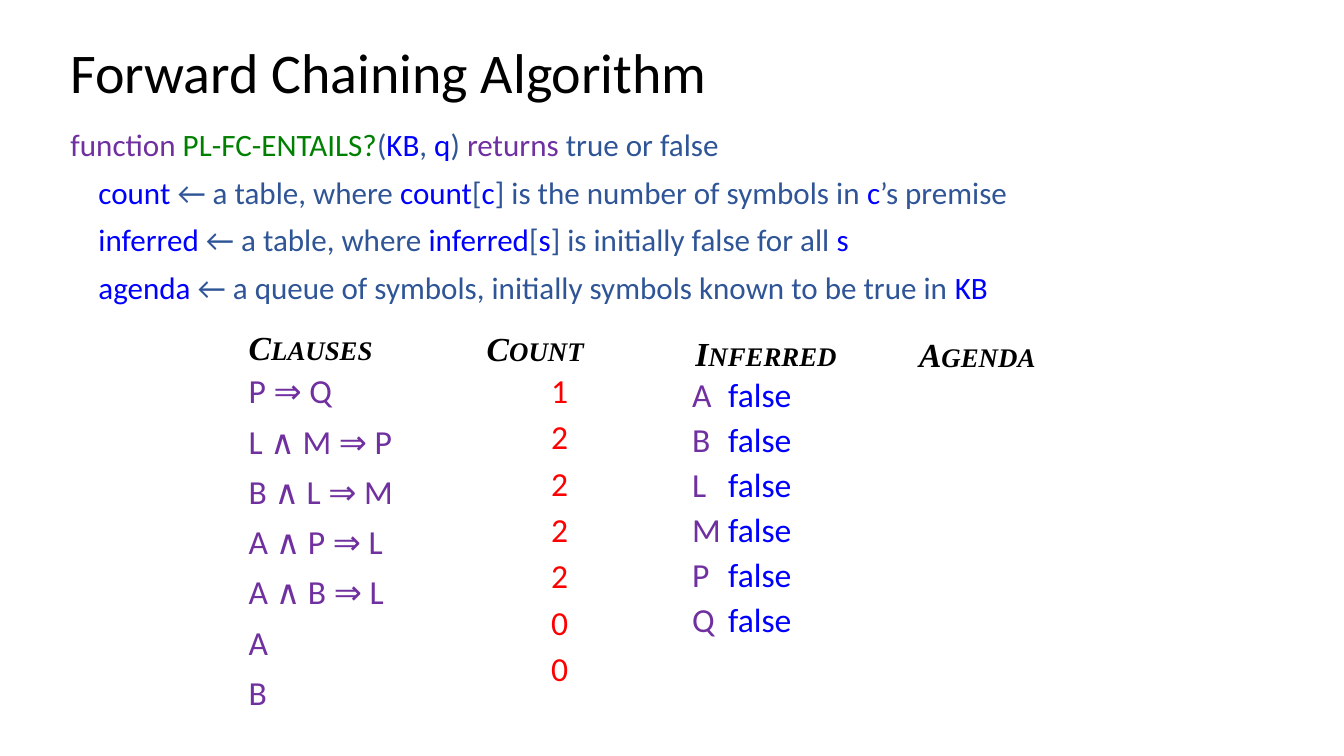
import pptx
import pptx.dml.color
import pptx.enum.shapes
import pptx.enum.text
import pptx.oxml
import pptx.util

Pt = pptx.util.Pt
RGBColor = pptx.dml.color.RGBColor
MSO_ANCHOR = pptx.enum.text.MSO_ANCHOR

BLACK = RGBColor(0, 0, 0)
WHITE = RGBColor(255, 255, 255)
PURPLE = RGBColor(0x70, 0x30, 0xA0)
GREEN = RGBColor(0, 0x80, 0)
NAVY = RGBColor(0x2F, 0x55, 0x97)
BLUE = RGBColor(0, 0, 255)
RED = RGBColor(255, 0, 0)

PSEUDOCODE = [
    [("function ", PURPLE), ("PL-FC-ENTAILS?", GREEN), ("(", NAVY),
     ("KB", BLUE), (", ", NAVY), ("q", BLUE), (") ", NAVY),
     ("returns ", PURPLE), ("true or false", NAVY)],
    [("count", BLUE), (" ← a table, where ", NAVY), ("count", BLUE),
     ("[", NAVY), ("c", BLUE), ("] is the number of symbols in ", NAVY),
     ("c", BLUE), ("’s premise", NAVY)],
    [("inferred", BLUE), (" ← a table, where ", NAVY), ("inferred", BLUE),
     ("[", NAVY), ("s", BLUE), ("] is initially false for all ", NAVY),
     ("s", BLUE)],
    [("agenda", BLUE),
     (" ← a queue of symbols, initially symbols known to be true in ", NAVY),
     ("KB", BLUE)],
]
CLAUSES = ["P ⇒ Q", "L ∧ M ⇒ P", "B ∧ L ⇒ M", "A ∧ P ⇒ L", "A ∧ B ⇒ L", "A", "B"]
HEADINGS = [
    ("Clauses", 170.6, 229.7, 112),
    ("Agenda", 649.4, 234.7, 107),
    ("Count", 340.6, 230.4, 92),
    ("Inferred", 489.6, 234, 125),
]


def add_run(p, text, *, color=BLACK, size=24, font="Calibri", heading=False):
    """Append a formatted run to a paragraph."""
    r = p.add_run()
    r.text = text
    r.font.name = font
    r.font.size = Pt(size)
    r.font.color.rgb = color
    if heading:
        r.font.bold = r.font.italic = True
        r._r.get_or_add_rPr().set("cap", "small")


class SlideBuilder:
    """Hold the current slide and its text style."""

    def __init__(self, s):
        """Keep the slide to draw on."""
        self.s = s

    def fill_text(self, sp, lines, *, spacing=1.0, before=0, indent=0, tab=0,
                  anchor=MSO_ANCHOR.TOP, **fmt):
        """Write lines of coloured runs into a shape."""
        tf = sp.text_frame
        tf.word_wrap = True
        tf.vertical_anchor = anchor
        for i, line in enumerate(lines):
            p = tf.paragraphs[0] if i == 0 else tf.add_paragraph()
            p.alignment = pptx.enum.text.PP_ALIGN.LEFT
            p.line_spacing = spacing
            p.space_before = Pt(before if i else 0)
            pPr = p._p.get_or_add_pPr()
            if indent and i:
                pPr.set("marL", str(Pt(indent)))
            if tab:
                pPr.append(pptx.oxml.parse_xml(
                    '<a:tabLst xmlns:a="http://schemas.openxmlformats.org/drawingml/2006/main">'
                    f'<a:tab pos="{Pt(tab)}" algn="l"/></a:tabLst>'))
            for text, color in line:
                add_run(p, text, color=color, **fmt)

    def text_box(self, box, lines, **fmt):
        """Add a plain text box."""
        self.fill_text(self.s.shapes.add_textbox(*map(Pt, box)), lines, **fmt)

    def panel(self, box, lines, **fmt):
        """Add a white rectangle with text."""
        sp = self.s.shapes.add_shape(
            pptx.enum.shapes.MSO_SHAPE.RECTANGLE, *map(Pt, box))
        sp.shadow.inherit = False
        sp.fill.solid()
        sp.fill.fore_color.rgb = WHITE
        sp.line.fill.background()
        self.fill_text(sp, lines, **fmt)


def main():
    """Build and save the slide."""
    prs = pptx.Presentation()
    prs.slide_width, prs.slide_height = Pt(960), Pt(540)
    slide = SlideBuilder(prs.slides.add_slide(prs.slide_layouts[6]))

    slide.text_box((43.2, 28.8, 828, 49.7),
                   [[("Forward Chaining Algorithm", BLACK)]],
                   size=40, spacing=0.9, anchor=MSO_ANCHOR.MIDDLE)
    slide.text_box((43.2, 78.5, 819.4, 152), PSEUDOCODE,
                   size=22.2, spacing=1.28, indent=20)
    slide.text_box((170.6, 264.2, 192, 260), [[(c, PURPLE)] for c in CLAUSES],
                   spacing=0.9, before=10)
    slide.panel((386.6, 260.6, 48, 240), [[(n, RED)] for n in "1222200"],
                before=4.3)
    slide.panel((487.4, 263.5, 131.8, 226),
                [[(symbol, PURPLE), ("\tfalse", BLUE)] for symbol in "ABLMPQ"],
                before=3.3, tab=25.7)
    for name, left, top, width in HEADINGS:
        slide.text_box((left, top, width, 36), [[(name, BLACK)]],
                       font="Times New Roman", heading=True)
    prs.save("out.pptx")


if __name__ == "__main__":
    main()
